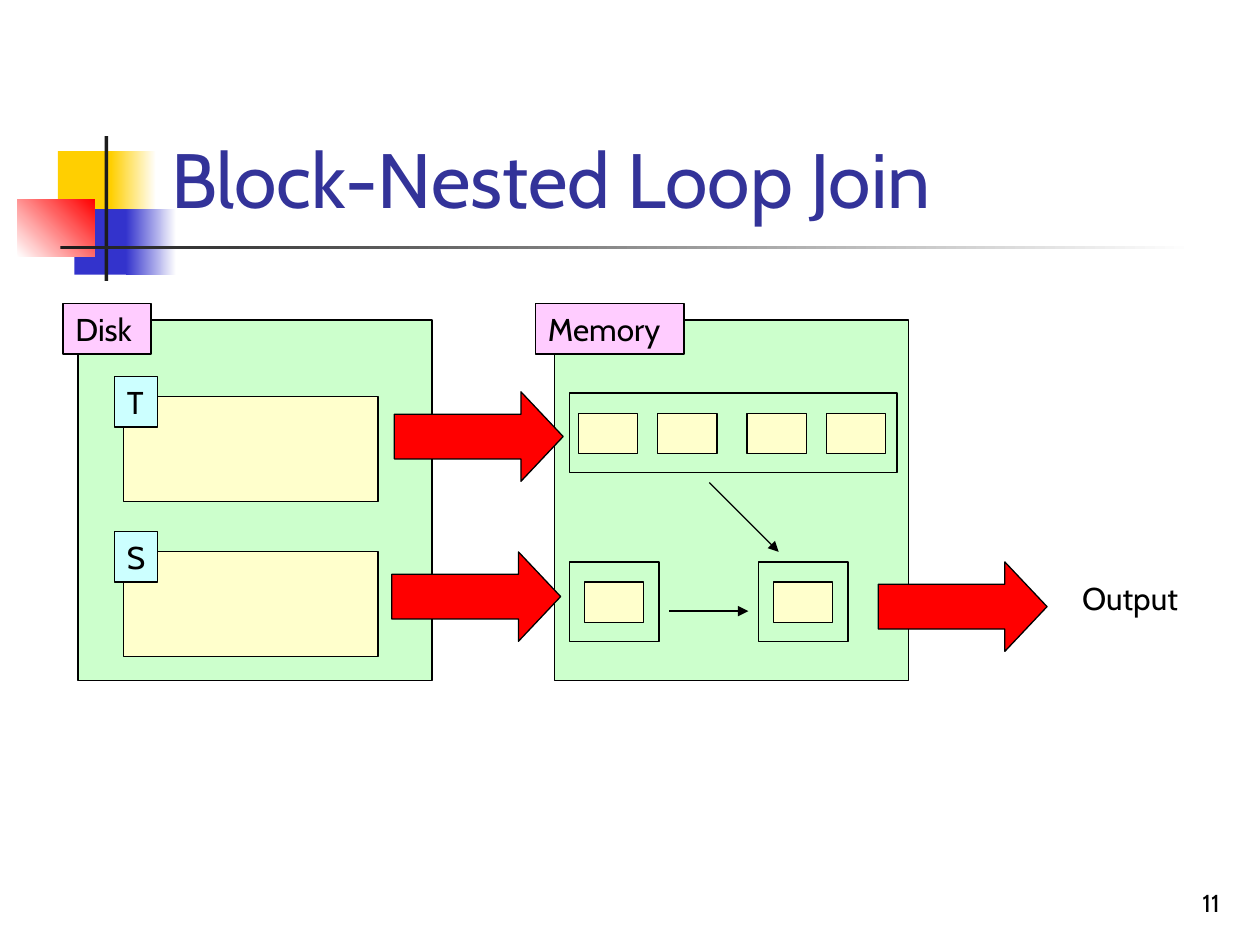
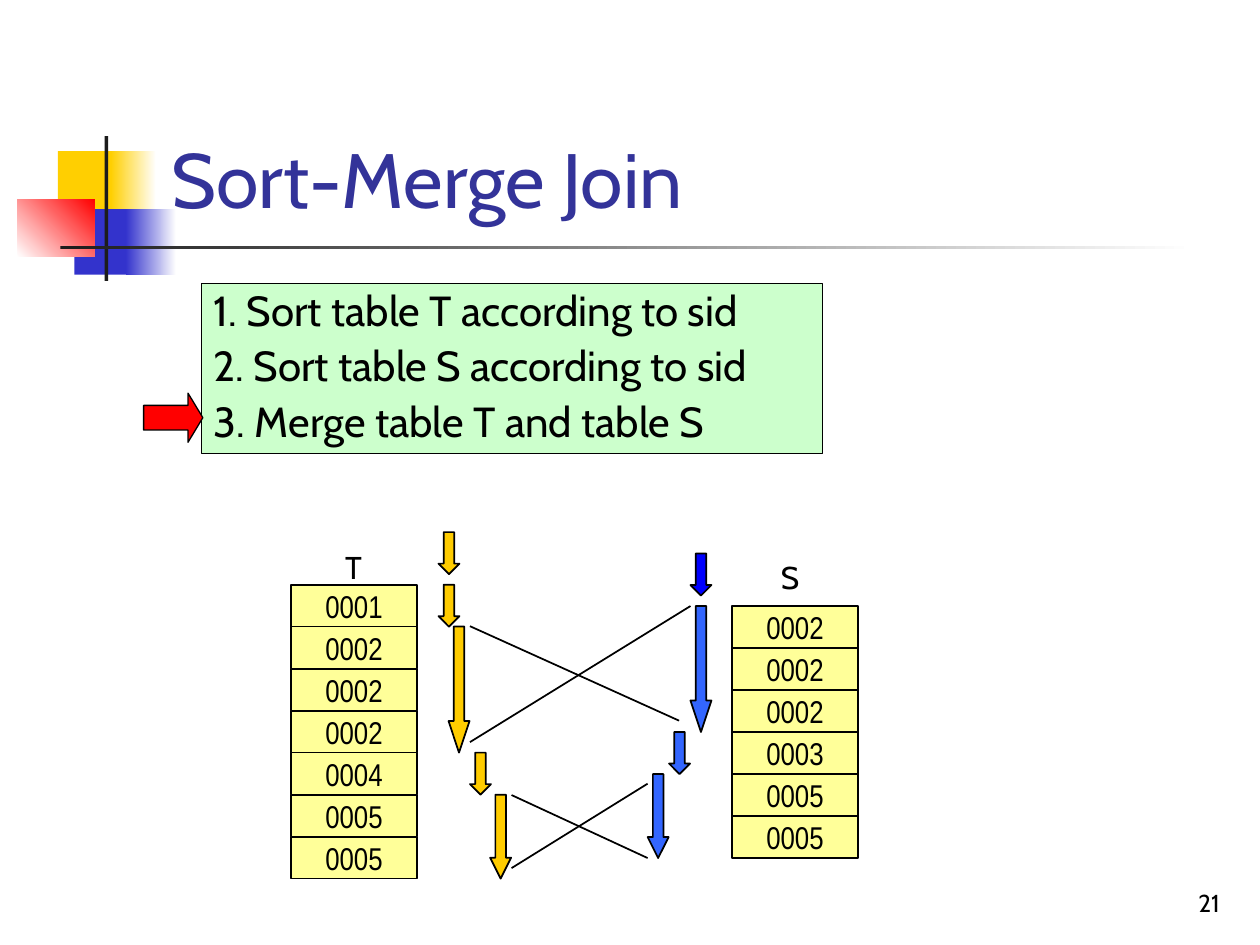
"""Build two slides that explain block-nested loop join and sort-merge join."""
import lxml.etree
import pptx
import pptx.dml.color
import pptx.enum.shapes
import pptx.enum.text
import pptx.oxml.ns
import pptx.util

Inches = pptx.util.Inches
Pt = pptx.util.Pt
RGBColor = pptx.dml.color.RGBColor
Shape = pptx.enum.shapes.MSO_SHAPE
Anchor = pptx.enum.text.MSO_ANCHOR
Align = pptx.enum.text.PP_ALIGN

BLACK = RGBColor(0x00, 0x00, 0x00)
WHITE = RGBColor(0xFF, 0xFF, 0xFF)
CHARCOAL = RGBColor(0x1C, 0x1C, 0x1C)
TITLE_BLUE = RGBColor(0x33, 0x33, 0x99)
BAND_YELLOW = RGBColor(0xFF, 0xCF, 0x01)
BAND_BLUE = RGBColor(0x33, 0x33, 0xCC)
RED = RGBColor(0xFF, 0x00, 0x00)
GREEN = RGBColor(0xCC, 0xFF, 0xCC)
PINK = RGBColor(0xFF, 0xCC, 0xFF)
CREAM = RGBColor(0xFF, 0xFF, 0xCC)
CYAN = RGBColor(0xCC, 0xFF, 0xFF)
CELL_YELLOW = RGBColor(0xFF, 0xFF, 0x99)
GOLD = RGBColor(0xFF, 0xCC, 0x00)
SKY = RGBColor(0x33, 0x66, 0xFF)
BLUE = RGBColor(0x00, 0x00, 0xFF)

TEXT_FONT = "Cabin"
CELL_FONT = "Arial Narrow"
THIN = 0.74
MEDIUM = 0.99
ROW = 1 / 3
T_TOP = 4.64
S_TOP = 4.81


def write(shape, text, size=18, font=TEXT_FONT, color=BLACK, align=Align.LEFT, anchor=Anchor.TOP):
    """Put formatted text in a shape."""
    frame = shape.text_frame
    frame.text = text
    frame.word_wrap = True
    frame.auto_size = pptx.enum.text.MSO_AUTO_SIZE.NONE
    frame.vertical_anchor = anchor
    for paragraph in frame.paragraphs:
        paragraph.alignment = align
        for run in paragraph.runs:
            run.font.size = Pt(size)
            run.font.name = font
            run.font.color.rgb = color


def add_shape(slide, kind, box, fill=None, line_width=None):
    """Add a preset shape with an optional fill and black outline."""
    shape = slide.shapes.add_shape(kind, *map(Inches, box))
    shape.shadow.inherit = False
    if fill is None:
        shape.fill.background()
    else:
        shape.fill.solid()
        shape.fill.fore_color.rgb = fill
    if line_width is None:
        shape.line.fill.background()
    else:
        shape.line.color.rgb = BLACK
        shape.line.width = Pt(line_width)
    return shape


def add_box(slide, box, fill=None, line_width=THIN):
    """Add an outlined rectangle."""
    return add_shape(slide, Shape.RECTANGLE, box, fill, line_width)


def add_gradient(slide, box, start, end, angle=0):
    """Add a rectangle that fades from one colour to another."""
    shape = add_shape(slide, Shape.RECTANGLE, box)
    shape.fill.gradient()
    shape.fill.gradient_angle = angle
    for stop, color in zip(shape.fill.gradient_stops, (start, end)):
        stop.color.rgb = color


def add_block_arrow(slide, kind, box, fill, line_width):
    """Add a block arrow whose head takes a quarter of its length."""
    arrow = add_shape(slide, kind, box, fill, line_width)
    width, height = box[2:]
    arrow.adjustments[1] = max(width, height) / min(width, height) / 4


def add_line(slide, start, end, width, arrowhead=False):
    """Add a straight black line, optionally ending in an arrowhead."""
    line = slide.shapes.add_connector(
        pptx.enum.shapes.MSO_CONNECTOR.STRAIGHT, *map(Inches, start + end))
    line.line.color.rgb = BLACK
    line.line.width = Pt(width)
    qn = pptx.oxml.ns.qn
    properties = line._element.spPr
    if arrowhead:
        lxml.etree.SubElement(properties.find(qn("a:ln")), qn("a:tailEnd"), type="triangle")
    lxml.etree.SubElement(properties, qn("a:effectLst"))


def add_label(slide, text, box):
    """Add a plain text label."""
    write(slide.shapes.add_textbox(*map(Inches, box)), text)


def add_base(presentation, title, number):
    """Add a slide with the shared bands, title and slide number."""
    slide = presentation.slides.add_slide(presentation.slide_layouts[5])
    add_shape(slide, Shape.RECTANGLE, (0.46, 1.2, 0.48, 0.52), BAND_YELLOW)
    add_gradient(slide, (0.88, 1.2, 0.36, 0.52), BAND_YELLOW, WHITE)
    add_shape(slide, Shape.RECTANGLE, (0.59, 1.66, 0.46, 0.52), BAND_BLUE)
    add_gradient(slide, (1, 1.66, 0.4, 0.52), BAND_BLUE, WHITE)
    add_gradient(slide, (0.14, 1.58, 0.61, 0.46), WHITE, RED, 45)
    add_shape(slide, Shape.RECTANGLE, (0.83, 1.08, 0.03, 1.15), CHARCOAL)
    add_gradient(slide, (0.48, 1.95, 9, 0.03), CHARCOAL, WHITE)
    heading = slide.shapes.title
    heading.left, heading.top, heading.width, heading.height = map(
        Inches, (1.26, 0.23, 8.52, 1.6))
    write(heading, title, 44, color=TITLE_BLUE, anchor=Anchor.BOTTOM)
    slide.shapes._spTree.append(heading._element)
    footer = slide.shapes.add_textbox(*map(Inches, (7.7, 6.83, 2.08, 0.5)))
    write(footer, number, 14, align=Align.RIGHT, anchor=Anchor.BOTTOM)
    return slide


def add_page(slide, left, top):
    """Add one memory page."""
    add_box(slide, (left, top, 0.47, 0.32), CREAM)


def build_block_nested(presentation):
    """Build the block-nested loop join slide."""
    slide = add_base(presentation, "Block-Nested Loop Join", "11")
    for name, panel_left, tag_left, tag_width in (
            ("Disk", 0.62, 0.5, 0.7), ("Memory", 4.4, 4.25, 1.18)):
        add_box(slide, (panel_left, 2.54, 2.81, 2.86), GREEN)
        write(add_box(slide, (tag_left, 2.41, tag_width, 0.4), PINK), name)
    for name, top in (("T", 3.15), ("S", 4.38)):
        add_box(slide, (0.98, top, 2.02, 0.83), CREAM)
        write(add_box(slide, (0.91, top - 0.16, 0.34, 0.4), CYAN), name)
    add_box(slide, (4.52, 3.12, 2.6, 0.63))
    for left in (4.59, 5.22, 5.93, 6.56):
        add_page(slide, left, 3.28)
    for left in (4.52, 6.02):
        add_box(slide, (left, 4.46, 0.71, 0.63))
        add_page(slide, left + 0.12, 4.62)
    for left, top in ((3.13, 3.11), (3.11, 4.38), (6.97, 4.46)):
        add_block_arrow(slide, Shape.RIGHT_ARROW, (left, top, 1.34, 0.71), RED, THIN)
    add_line(slide, (5.63, 3.83), (6.18, 4.38), THIN, arrowhead=True)
    add_line(slide, (5.31, 4.85), (5.94, 4.85), THIN, arrowhead=True)
    add_label(slide, "Output", (8.49, 4.55, 1.04, 0.4))


def add_column(slide, left, top, values):
    """Add a stack of key cells."""
    for index, value in enumerate(values):
        cell = add_box(slide, (left, top + index * ROW, 1, ROW), CELL_YELLOW, MEDIUM)
        write(cell, value, font=CELL_FONT, align=Align.CENTER, anchor=Anchor.MIDDLE)


def add_cursors(slide, top, cursors):
    """Add down arrows, each given by left, first row, row count and colour."""
    for left, first, count, color in cursors:
        box = (left, top + first * ROW, ROW / 2, count * ROW)
        add_block_arrow(slide, Shape.DOWN_ARROW, box, color, MEDIUM)


def build_sort_merge(presentation):
    """Build the sort-merge join slide."""
    slide = add_base(presentation, "Sort-Merge Join", "21")
    steps = add_box(slide, (1.6, 2.25, 4.93, 1.35), GREEN)
    write(steps, "1. Sort table T according to sid\n"
                 "2. Sort table S according to sid\n"
                 "3. Merge table T and table S", 24)
    for paragraph in steps.text_frame.paragraphs:
        paragraph.line_spacing = 0.9
        paragraph.space_before = Pt(6)
    add_column(slide, 2.31, T_TOP, ("0001", "0002", "0002", "0002", "0004", "0005", "0005"))
    add_column(slide, 5.81, S_TOP, ("0002", "0002", "0002", "0003", "0005", "0005"))
    add_cursors(slide, T_TOP, (
        (3.48, -1.25, 1, GOLD), (3.48, 0, 1, GOLD), (3.56, 1, 3, GOLD),
        (3.73, 4, 1, GOLD), (3.89, 5, 2, GOLD)))
    add_cursors(slide, S_TOP, (
        (5.48, -1.25, 1, BLUE), (5.48, 0, 3, SKY), (5.31, 3, 1, SKY), (5.14, 4, 2, SKY)))
    for start, end in (
            ((3.73, 4.97), (5.39, 5.72)), ((3.73, 5.89), (5.48, 4.81)),
            ((4.06, 6.31), (5.14, 6.81)), ((4.06, 6.89), (5.14, 6.22))):
        add_line(slide, start, end, MEDIUM)
    add_label(slide, "T", (2.64, 4.3, 0.34, 0.4))
    add_label(slide, "S", (6.1, 4.38, 0.34, 0.4))
    add_block_arrow(slide, Shape.RIGHT_ARROW, (1.14, 3.12, 0.47, 0.39), RED, THIN)


def main():
    """Create the presentation and save it."""
    presentation = pptx.Presentation()
    presentation.slide_width = Inches(10)
    presentation.slide_height = Inches(7.5)
    build_block_nested(presentation)
    build_sort_merge(presentation)
    presentation.save("out.pptx")


main()
